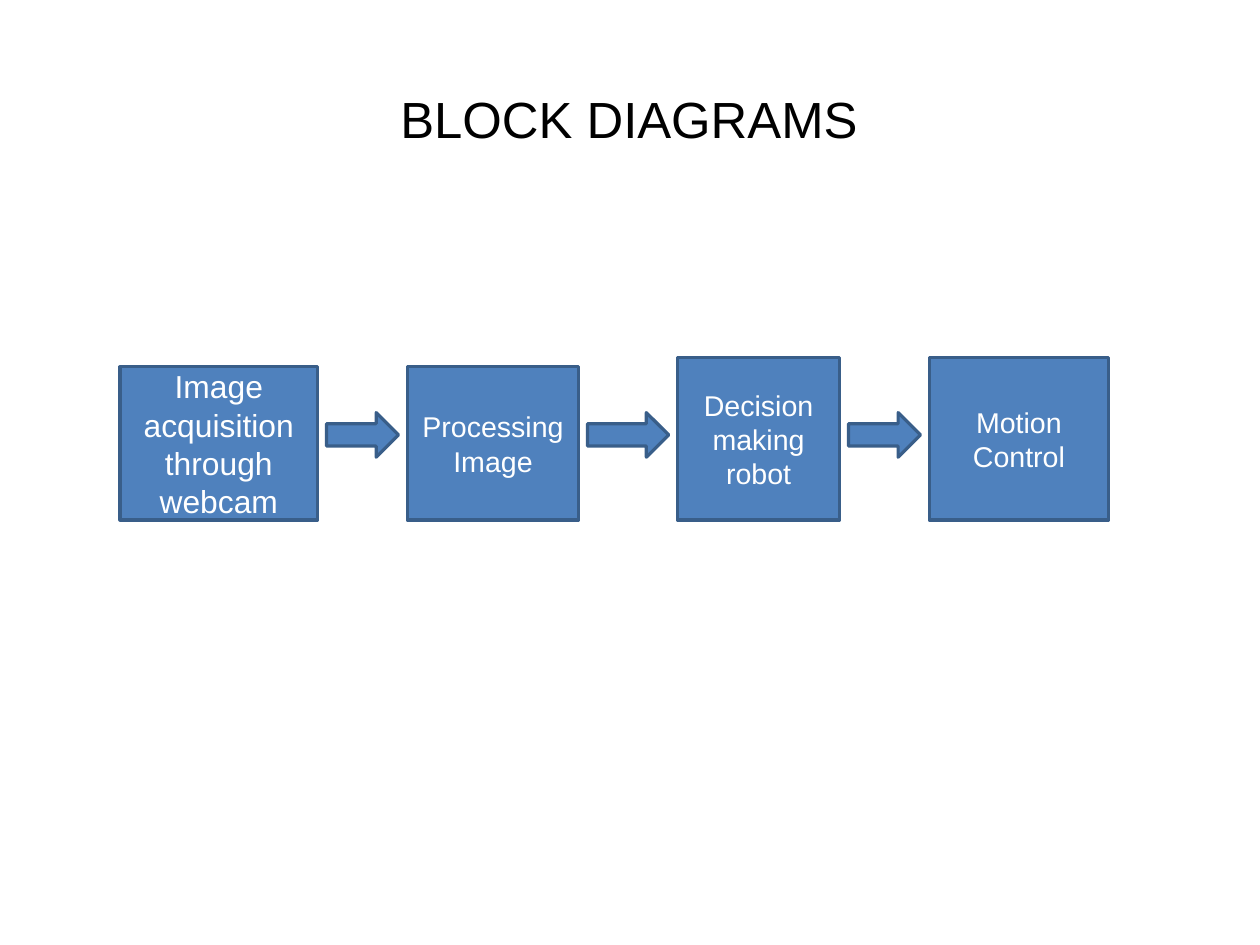
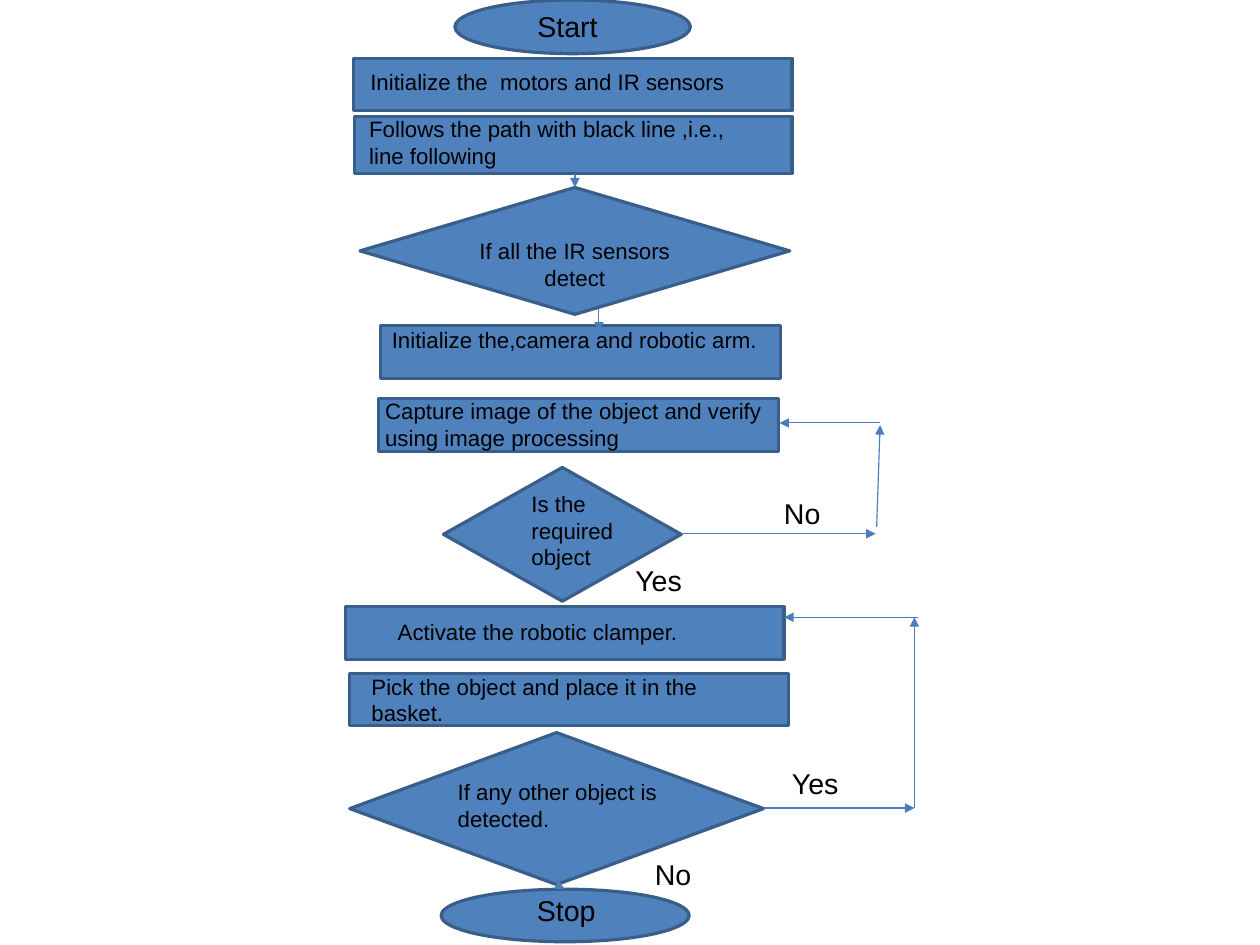
"""Build the block diagram and the flowchart of an object-picking robot."""
from pptx import Presentation
from pptx import util as u
from pptx.dml import color
from pptx.enum import shapes, text
from pptx.oxml import ns
from lxml import etree

FONT = "Arial"
BLUE, EDGE, ARROW = "4F81BD", "395E89", "4A7DBA"
BLACK, WHITE = "000000", "FFFFFF"
KIND = shapes.MSO_SHAPE
LEFT, CENTER = text.PP_ALIGN.LEFT, text.PP_ALIGN.CENTER
TOP, MIDDLE = text.MSO_ANCHOR.TOP, text.MSO_ANCHOR.MIDDLE
MARGINS = (0.1, 0.05, 0.1, 0.05)
PAGE_WIDTH, PAGE_HEIGHT = u.Cm(28), u.Cm(21)

TITLE = "BLOCK DIAGRAMS"
STAGES = [
    ("Image acquisition through webcam", 1.73, 1.34, 20),
    ("Processing Image", 1.5, 1.34, 18),
    ("Decision making robot", 1.42, 1.42, 18),
    ("Motion Control", 1.57, 1.42, 18),
]
ARROW_WIDTHS = [0.63, 0.71, 0.63]
ROW_LEFT, ROW_RIGHT, ROW_BOTTOM = 1.05, 9.7, 4.55
ARROW_TOP, ARROW_HEIGHT = 3.61, 0.39

STEPS = [
    ("Start", KIND.OVAL, (3.98, 0, 2.06, 0.47), (0.42, 0, 0, 0.02), 18, LEFT),
    ("Initialize the  motors and IR sensors", KIND.RECTANGLE,
     (3.09, 0.51, 3.84, 0.46), (0.15, 0, 0.1, 0.05), 14, LEFT),
    ("Follows the path with black line ,i.e., line following", KIND.FLOWCHART_PROCESS,
     (3.1, 1.02, 3.83, 0.5), (0.13, 0, 0.4, 0.05), 14, LEFT),
    ("If all the IR sensors detect", KIND.FLOWCHART_DECISION,
     (3.15, 1.64, 3.76, 1.11), (0.1, 0.25, 0.1, 0.02), 14, CENTER),
    ("Initialize the,camera and robotic arm.", KIND.FLOWCHART_PROCESS,
     (3.33, 2.85, 3.5, 0.46), (0.1, 0, 0.1, 0.22), 14, LEFT),
    ("Capture image of the object and verify using image processing",
     KIND.FLOWCHART_PROCESS, (3.31, 3.49, 3.5, 0.46), (0.06, 0, 0.06, 0.02), 14, LEFT),
    ("Is the required object", KIND.FLOWCHART_DECISION,
     (3.88, 4.09, 2.08, 1.17), (0.25, 0, 0.07, 0.07), 14, LEFT),
    ("Activate the robotic clamper.", KIND.RECTANGLE,
     (3.02, 5.31, 3.84, 0.46), (0.46, 0, 0.1, 0.02), 14, LEFT),
    ("Pick the object and place it in the basket.", KIND.RECTANGLE,
     (3.06, 5.89, 3.84, 0.46), (0.19, 0, 0.35, 0), 14, LEFT),
    ("If any other object is detected.", KIND.FLOWCHART_DECISION,
     (3.06, 6.41, 3.62, 1.33), (0.04, 0, 0, 0.06), 14, LEFT),
    ("Stop", KIND.OVAL, (3.86, 7.78, 2.17, 0.46), (0.52, 0, 0, 0.1), 18, LEFT),
]
ANSWERS = [
    ("No", (6.76, 4.29, 0.61, 0.41)),
    ("Yes", (6.83, 6.65, 0.75, 0.4)),
    ("Yes", (5.46, 4.88, 0.75, 0.4)),
    ("No", (5.63, 7.45, 0.61, 0.4)),
]
FLOWS = [
    (5.03, 1.52, 5.03, 1.64), (5.24, 2.7, 5.24, 2.9),
    (5.96, 4.67, 7.66, 4.67), (7.67, 4.61, 7.7, 3.72), (7.7, 3.7, 6.82, 3.7),
    (6.68, 7.07, 8, 7.07), (8, 7.07, 8, 5.4), (8.03, 5.4, 6.86, 5.4),
    (4.87, 7.74, 4.94, 7.78),
]


def rgb(value):
    """Turn a hex string into a colour."""
    return color.RGBColor.from_string(value)


def inches(values):
    """Turn numbers into lengths."""
    return [u.Inches(value) for value in values]


def write(holder, wording, size, ink, align=LEFT, anchor=TOP, margins=MARGINS):
    """Put formatted wording into a shape."""
    frame = holder.text_frame
    left, top, right, bottom = inches(margins)
    layout = {"word_wrap": True, "auto_size": text.MSO_AUTO_SIZE.NONE,
              "vertical_anchor": anchor, "margin_left": left, "margin_top": top,
              "margin_right": right, "margin_bottom": bottom}
    for name, value in layout.items():
        setattr(frame, name, value)
    paragraph = frame.paragraphs[0]
    paragraph.alignment = align
    run = paragraph.add_run()
    run.text = wording
    for name, value in {"name": FONT, "size": u.Pt(size)}.items():
        setattr(run.font, name, value)
    run.font.color.rgb = rgb(ink)


def add_block(slide, kind, place):
    """Add a blue outlined shape."""
    block = slide.shapes.add_shape(kind, *inches(place))
    block.shadow.inherit = False
    block.fill.solid()
    block.fill.fore_color.rgb = rgb(BLUE)
    block.line.color.rgb = rgb(EDGE)
    block.line.width = u.Pt(2)
    return block


def add_flow(slide, ends):
    """Add a thin line with an arrowhead at its end."""
    flow = slide.shapes.add_connector(shapes.MSO_CONNECTOR.STRAIGHT, *inches(ends))
    flow.line.color.rgb = rgb(ARROW)
    flow.line.width = u.Pt(0.75)
    outline = flow._element.spPr.find(ns.qn("a:ln"))
    etree.SubElement(outline, ns.qn("a:tailEnd"), type="triangle")
    etree.SubElement(flow._element.spPr, ns.qn("a:effectLst"))


def build_block_diagram(deck):
    """Lay the stages in a row with arrows between them."""
    slide = deck.slides.add_slide(deck.slide_layouts[5])
    title = slide.shapes.title
    title.left, title.top, title.width, title.height = inches((3.22, -0.2, 4.57, 2.46))
    write(title, TITLE, 32, BLACK, CENTER, MIDDLE, (0, 0, 0, 0))
    filled = sum(stage[1] for stage in STAGES) + sum(ARROW_WIDTHS)
    gap = (ROW_RIGHT - ROW_LEFT - filled) / (2 * len(ARROW_WIDTHS))
    left = ROW_LEFT
    for index, (wording, width, height, size) in enumerate(STAGES):
        stage = add_block(slide, KIND.RECTANGLE, (left, ROW_BOTTOM - height, width, height))
        write(stage, wording, size, WHITE, CENTER, MIDDLE)
        left += width + gap
        if index < len(ARROW_WIDTHS):
            width = ARROW_WIDTHS[index]
            add_block(slide, KIND.RIGHT_ARROW, (left, ARROW_TOP, width, ARROW_HEIGHT))
            left += width + gap


def build_flowchart(deck):
    """Draw the steps, the answers and the arrows."""
    slide = deck.slides.add_slide(deck.slide_layouts[6])
    for wording, kind, place, margins, size, align in STEPS:
        write(add_block(slide, kind, place), wording, size, BLACK, align, MIDDLE, margins)
    for wording, place in ANSWERS:
        write(slide.shapes.add_textbox(*inches(place)), wording, 18, BLACK)
    for ends in FLOWS:
        add_flow(slide, ends)


def main():
    """Build and save the deck."""
    deck = Presentation()
    deck.slide_width, deck.slide_height = PAGE_WIDTH, PAGE_HEIGHT
    build_block_diagram(deck)
    build_flowchart(deck)
    deck.save("out.pptx")


if __name__ == "__main__":
    main()
